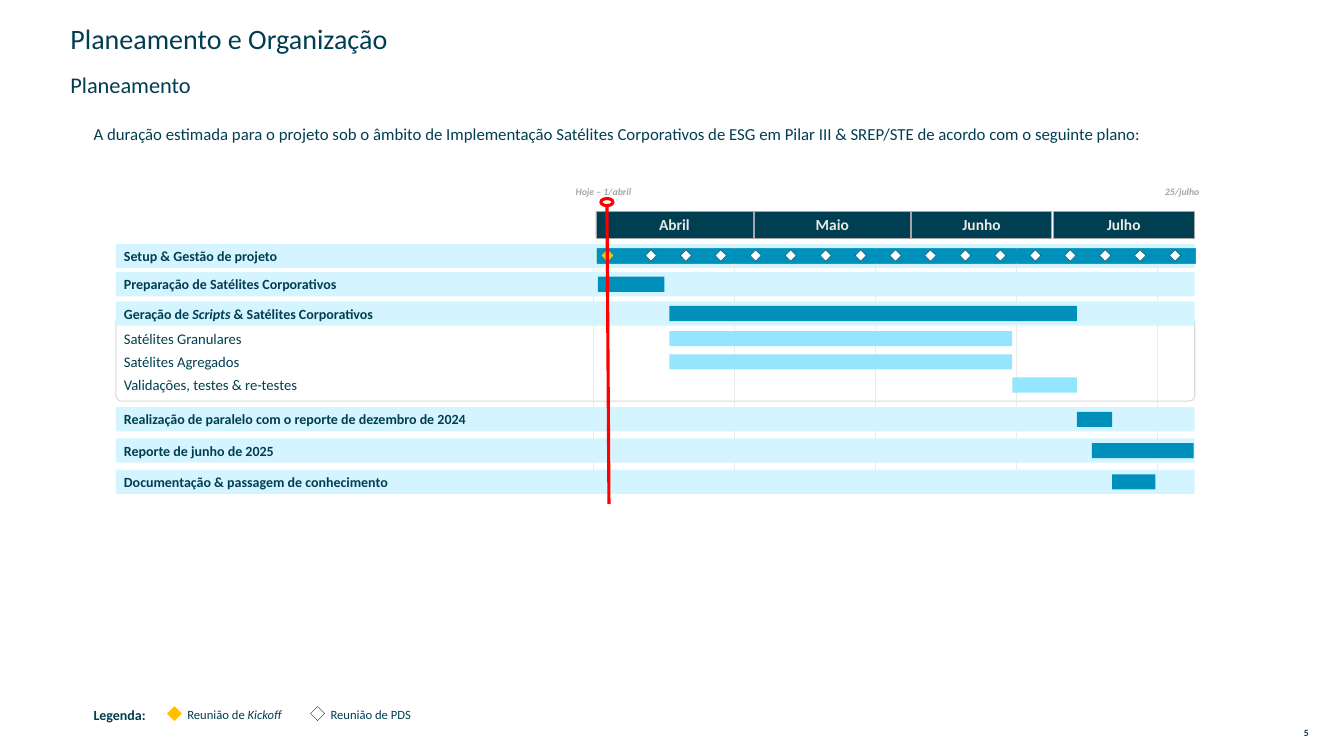
from dataclasses import dataclass
from typing import Optional

from lxml import etree
from pptx import Presentation
from pptx.dml.color import RGBColor
from pptx.enum.shapes import MSO_CONNECTOR, MSO_SHAPE
from pptx.enum.text import MSO_ANCHOR, PP_ALIGN
from pptx.oxml.ns import qn
from pptx.util import Emu, Inches, Pt

RECTANGLE = MSO_SHAPE.RECTANGLE
DIAMOND = MSO_SHAPE.DIAMOND
OVAL = MSO_SHAPE.OVAL
ROUND_BOTTOM = MSO_SHAPE.ROUND_2_SAME_RECTANGLE
STRAIGHT = MSO_CONNECTOR.STRAIGHT
TOP, MIDDLE = MSO_ANCHOR.TOP, MSO_ANCHOR.MIDDLE
LEFT, CENTER = PP_ALIGN.LEFT, PP_ALIGN.CENTER

NAVY = RGBColor(0x00, 0x3E, 0x51)
BLUE = RGBColor(0x00, 0x90, 0xBC)
SKY = RGBColor(0x94, 0xE6, 0xFF)
ICE = RGBColor(0xD4, 0xF5, 0xFF)
WHITE = RGBColor(0xFF, 0xFF, 0xFF)
CREAM = RGBColor(0xEB, 0xEB, 0xE6)
GREY = RGBColor(0xA6, 0xA6, 0xA6)
FRAME_GREY = RGBColor(0xD9, 0xD9, 0xD9)
GRID_GREY = RGBColor(0xEB, 0xEB, 0xEB)
GOLD = RGBColor(0xFF, 0xC0, 0x00)
RED = RGBColor(0xFF, 0x00, 0x00)

FONT = "Calibri"
CELL = Inches(0.1)
BAND_LEFT, BAND_WIDTH, BAND_HEIGHT = 11.5, 107, 2.4
BAR_HEIGHT = 1.5
WEEK = 3.467
GRID_TOP, GRID_BOTTOM = 24.2, 49


@dataclass(frozen=True)
class Area:
    column: float
    row: float
    columns: float
    rows: float


@dataclass(frozen=True)
class Style:
    size: float
    color: RGBColor = NAVY
    bold: bool = False
    italic: bool = False
    align: int = LEFT
    anchor: int = TOP
    insets: tuple = (1, 0.5, 1, 0.5)
    indent: float = 0
    spacing: float = 1


@dataclass(frozen=True)
class Label:
    text: str
    area: Area
    style: Style


@dataclass(frozen=True)
class Phase:
    name: str
    row: float
    start: float
    columns: float


@dataclass(frozen=True)
class Month:
    name: str
    start: float
    columns: float


BAND_STYLE = Style(10, bold=True, anchor=MIDDLE, insets=(0, 1.1, 0.8, 1.1), indent=0.8)
MONTH_STYLE = Style(11, CREAM, bold=True, align=CENTER, anchor=MIDDLE, insets=(0, 0.5, 0, 0.5))
DATE_STYLE = Style(7, GREY, bold=True, italic=True, align=CENTER, insets=(0, 0.5, 0, 0.5))
TASK_STYLE = Style(10.5, anchor=MIDDLE)
LEGEND_STYLE = Style(9, spacing=1.1)

LABELS = [
    Label("5", Area(127.3, 71.9, 4.5, 1.6),
          Style(6.8, bold=True, align=CENTER, anchor=MIDDLE, insets=(0.6, 0.3, 0.6, 0.3))),
    Label("Planeamento e Organização", Area(6, 2.7, 79.5, 2.6),
          Style(20, anchor=MIDDLE, spacing=0.9)),
    Label("Planeamento", Area(6, 7.3, 76.6, 2.6), Style(16, anchor=MIDDLE, spacing=0.9)),
    Label("A duração estimada para o projeto sob o âmbito de Implementação Satélites "
          "Corporativos de ESG em Pilar III & SREP/STE de acordo com o seguinte plano:",
          Area(8.3, 11.8, 117.8, 4.6), Style(12)),
    Label("Legenda:", Area(8.3, 69.4, 8.3, 2.7), Style(10, bold=True, spacing=1.1)),
    Label("Reunião de *Kickoff*", Area(17.6, 69.5, 12.9, 2.6), LEGEND_STYLE),
    Label("Reunião de PDS", Area(31.8, 69.5, 12.9, 2.6), LEGEND_STYLE),
    Label("Hoje – 1/abril", Area(56.3, 17.9, 7.1, 2.2), DATE_STYLE),
    Label("25/julho", Area(113.7, 17.9, 7.1, 2.2), DATE_STYLE),
]
MONTHS = [
    Month("Abril", 59.1, 15.6),
    Month("Maio", 74.8, 15.5),
    Month("Junho", 90.4, 13.9),
    Month("Julho", 104.5, 13.9),
]
PHASES = [
    Phase("Setup & Gestão de projeto", 24.2, 59.2, 59.4),
    Phase("Preparação de Satélites Corporativos", 27, 59.3, 6.6),
    Phase("Geração de *Scripts* & Satélites Corporativos", 29.9, 66.4, 40.4),
    Phase("Realização de paralelo com o reporte de dezembro de 2024", 40.4, 106.8, 3.5),
    Phase("Reporte de junho de 2025", 43.5, 108.3, 10.1),
    Phase("Documentação & passagem de conhecimento", 46.6, 110.3, 4.3),
]
TASKS = [
    Phase("Satélites Granulares", 32.4, 66.4, 34),
    Phase("Satélites Agregados", 34.7, 66.4, 34),
    Phase("Validações, testes & re-testes", 37, 100.4, 6.4),
]


def cells(count: float) -> Emu:
    return Emu(round(count * CELL))


def place(area: Area) -> tuple:
    return tuple(cells(side) for side in (area.column, area.row, area.columns, area.rows))


def write(box, text: str, style: Style) -> None:
    frame = box.text_frame
    left, top, right, bottom = (cells(inset) for inset in style.insets)
    frame_format = {"word_wrap": True, "vertical_anchor": style.anchor,
                    "margin_left": left, "margin_top": top,
                    "margin_right": right, "margin_bottom": bottom}
    for name, value in frame_format.items():
        setattr(frame, name, value)
    para = frame.paragraphs[0]
    para.alignment = style.align
    para.line_spacing = style.spacing
    if style.indent:
        para._p.get_or_add_pPr().set("marL", str(cells(style.indent)))
    for index, part in enumerate(text.split("*")):
        if not part:
            continue
        span = para.add_run()
        span.text = part
        font_format = {"name": FONT, "size": Pt(style.size), "bold": style.bold,
                       "italic": style.italic or index % 2 == 1}
        for name, value in font_format.items():
            setattr(span.font, name, value)
        span.font.color.rgb = style.color


def draw_label(page, label: Label) -> None:
    write(page.shapes.add_textbox(*place(label.area)), label.text, label.style)


def draw_shape(page, kind: int, area: Area, fill: Optional[RGBColor] = None,
               line: Optional[RGBColor] = None, weight: float = 0.25):
    shape = page.shapes.add_shape(kind, *place(area))
    shape.shadow.inherit = False
    if fill is None:
        shape.fill.background()
    else:
        shape.fill.solid()
        shape.fill.fore_color.rgb = fill
    if line is None:
        shape.line.fill.background()
    else:
        shape.line.color.rgb = line
        shape.line.width = Pt(weight)
    return shape


def draw_line(page, start: tuple, end: tuple, color: RGBColor, weight: float) -> None:
    ends = [cells(value) for value in (*start, *end)]
    connector = page.shapes.add_connector(STRAIGHT, *ends)
    connector.line.color.rgb = color
    connector.line.width = Pt(weight)
    etree.SubElement(connector._element.spPr, qn("a:effectLst"))


def draw_bar(page, phase: Phase, color: RGBColor) -> None:
    row = phase.row + (BAND_HEIGHT - BAR_HEIGHT) / 2
    draw_shape(page, RECTANGLE, Area(phase.start, row, phase.columns, BAR_HEIGHT), color)


def draw_phase(page, phase: Phase) -> None:
    area = Area(BAND_LEFT, phase.row, BAND_WIDTH, BAND_HEIGHT)
    write(draw_shape(page, RECTANGLE, area, ICE), phase.name, BAND_STYLE)
    draw_bar(page, phase, BLUE)


def draw_diamond(page, column: float, row: float, size: float, kickoff: bool) -> None:
    fill, line = (GOLD, GOLD) if kickoff else (WHITE, NAVY)
    draw_shape(page, DIAMOND, Area(column, row, size, size), fill, line)


def main() -> None:
    deck = Presentation()
    deck.slide_width, deck.slide_height = Inches(13.33), Inches(7.5)
    page = deck.slides.add_slide(deck.slide_layouts[6])
    for label in LABELS:
        draw_label(page, label)
    draw_diamond(page, 16.6, 70.1, 1.4, True)
    draw_diamond(page, 30.8, 70.1, 1.4, False)
    draw_phase(page, PHASES[0])
    for index in range(5):
        column = 58.8 + 14 * index
        draw_line(page, (column, GRID_TOP), (column, GRID_BOTTOM), GRID_GREY, 0.25)
    draw_bar(page, PHASES[0], BLUE)
    draw_diamond(page, 59.7, 24.8, 1.1, True)
    for week in range(16):
        draw_diamond(page, 64 + WEEK * week, 24.8, 1.1, False)
    for month in MONTHS:
        area = Area(month.start, 21, month.columns, 2.6)
        write(draw_shape(page, RECTANGLE, area, NAVY, GREY), month.name, MONTH_STYLE)
    frame = draw_shape(page, ROUND_BOTTOM, Area(BAND_LEFT, 31.8, BAND_WIDTH, 8),
                       line=FRAME_GREY, weight=0.75)
    frame.adjustments[0], frame.adjustments[1] = 0, 0.07
    for phase in PHASES[1:]:
        draw_phase(page, phase)
    for task in TASKS:
        draw_label(page, Label(task.name, Area(11.3, task.row, 42.3, 2.3), TASK_STYLE))
        draw_bar(page, task, SKY)
    draw_line(page, (60.2, 20), (60.4, 50), RED, 2.25)
    draw_shape(page, OVAL, Area(59.6, 19.7, 1.2, 0.7), WHITE, RED, 2.25)
    deck.save("out.pptx")


if __name__ == "__main__":
    main()
